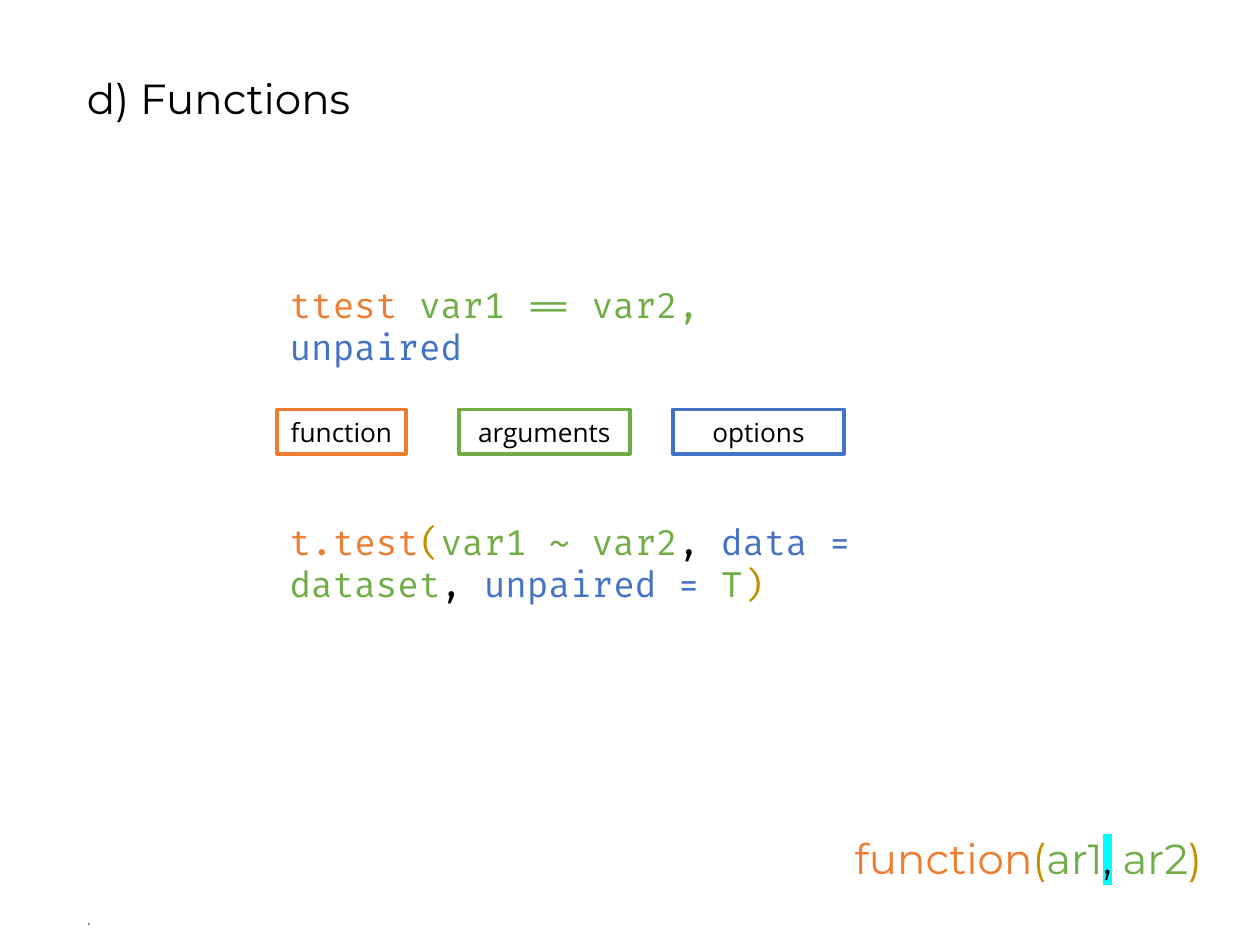
from lxml import etree
from pptx import Presentation
from pptx.dml.color import RGBColor
from pptx.enum.shapes import MSO_SHAPE as Shape
from pptx.enum.text import MSO_ANCHOR as Anchor, MSO_AUTO_SIZE as AutoSize, PP_ALIGN as Align
from pptx.oxml.ns import qn
from pptx.util import Inches, Pt

ORANGE, GREEN, BLUE = "ED7D31", "70AD47", "4472C4"
GOLD, BLACK, GRAY, WHITE, CYAN = "BF9000", "000000", "808080", "FFFFFF", "00FFFF"
HEADING, BODY, CODE = "Montserrat", "Open Sans", "Fira Code"

TTEST_COMMAND = [("ttest ", ORANGE), ("var1 == var2, ", GREEN), ("unpaired", BLUE)]
T_TEST_CALL = [
    ("t.test", ORANGE), ("(", GOLD), ("var1 ~ var2", GREEN), (", ", BLACK),
    ("data = ", BLUE), ("dataset", GREEN), (", ", BLACK),
    ("unpaired = ", BLUE), ("T", GREEN), (")", GOLD),
]
SYNTAX = [
    ("function", ORANGE), ("(", GOLD), ("ar1", GREEN), (",", BLACK),
    (" ", BLACK), ("ar2", GREEN), (")", GOLD),
]
LEGEND = [  # label, line colour, fill colour, left within the legend, width
    ("function", ORANGE, None, 0, 1.02),
    ("arguments", GREEN, None, 1.44, 1.36),
    ("options", BLUE, WHITE, 3.14, 1.36),
]


def color(value):
    return RGBColor.from_string(value)


def format_run(run, font_name, size, text_color):
    run.font.name = font_name
    run.font.size = Pt(size)
    run.font.color.rgb = color(text_color)


def highlight(run, value):
    """Mark a run that already has its font colour."""
    fill = run.font._element.find(qn("a:solidFill"))
    mark = etree.Element(qn("a:highlight"))
    etree.SubElement(mark, qn("a:srgbClr"), val=value)
    fill.addnext(mark)


def add_colored_text(slide, box, pieces, font_name, size):
    frame = slide.shapes.add_textbox(*map(Inches, box)).text_frame
    frame.word_wrap = True
    frame.auto_size = AutoSize.SHAPE_TO_FIT_TEXT
    paragraph = frame.paragraphs[0]
    for text, text_color in pieces:
        run = paragraph.add_run()
        run.text = text
        format_run(run, font_name, size, text_color)
    return frame


def add_title(slide, box, text):
    title = slide.shapes.title
    title.left, title.top, title.width, title.height = map(Inches, box)
    frame = title.text_frame
    frame.text = text
    frame.word_wrap = True
    frame.vertical_anchor = Anchor.TOP
    paragraph = frame.paragraphs[0]
    paragraph.alignment = Align.LEFT
    paragraph.line_spacing = 0.9
    format_run(paragraph.runs[0], HEADING, 24, BLACK)


def add_syntax(slide, box):
    """General form of a call, with its separating comma highlighted."""
    frame = add_colored_text(slide, box, SYNTAX, HEADING, 24)
    frame.auto_size = AutoSize.NONE
    frame.vertical_anchor = Anchor.BOTTOM
    frame.margin_left = frame.margin_right = Inches(0.08)
    frame.margin_top = frame.margin_bottom = Inches(0.04)
    paragraph = frame.paragraphs[0]
    paragraph.alignment = Align.RIGHT
    paragraph.line_spacing = 0.9
    comma = next(run for run in paragraph.runs if run.text == ",")
    highlight(comma, CYAN)


def add_legend(slide, left, top, height):
    for label, line_color, fill_color, x, width in LEGEND:
        shape = slide.shapes.add_shape(
            Shape.RECTANGLE, Inches(left + x), Inches(top), Inches(width), Inches(height))
        shape.shadow.inherit = False
        if fill_color:
            shape.fill.solid()
            shape.fill.fore_color.rgb = color(fill_color)
        else:
            shape.fill.background()
        shape.line.color.rgb = color(line_color)
        shape.line.width = Pt(2.25)
        shape.text_frame.text = label
        paragraph = shape.text_frame.paragraphs[0]
        paragraph.alignment = Align.CENTER
        format_run(paragraph.runs[0], BODY, 15, BLACK)


def main():
    presentation = Presentation()
    presentation.slide_width, presentation.slide_height = Inches(10), Inches(7.5)
    slide = presentation.slides.add_slide(presentation.slide_layouts[5])
    add_title(slide, (0.59, 0.57, 3.23, 1.33), "d) Functions")
    add_colored_text(slide, (2.2, 2.2, 4.19, 0.44), TTEST_COMMAND, CODE, 20)
    add_legend(slide, 2.2, 3.25, 0.35)
    add_colored_text(slide, (2.2, 4.08, 5.75, 0.44), T_TEST_CALL, CODE, 20)
    add_syntax(slide, (6.39, 5.74, 3.23, 1.31))
    add_colored_text(slide, (0.59, 7.16, 9.03, 0.27), [(".", GRAY)], BODY, 10)
    presentation.save("out.pptx")


if __name__ == "__main__":
    main()
